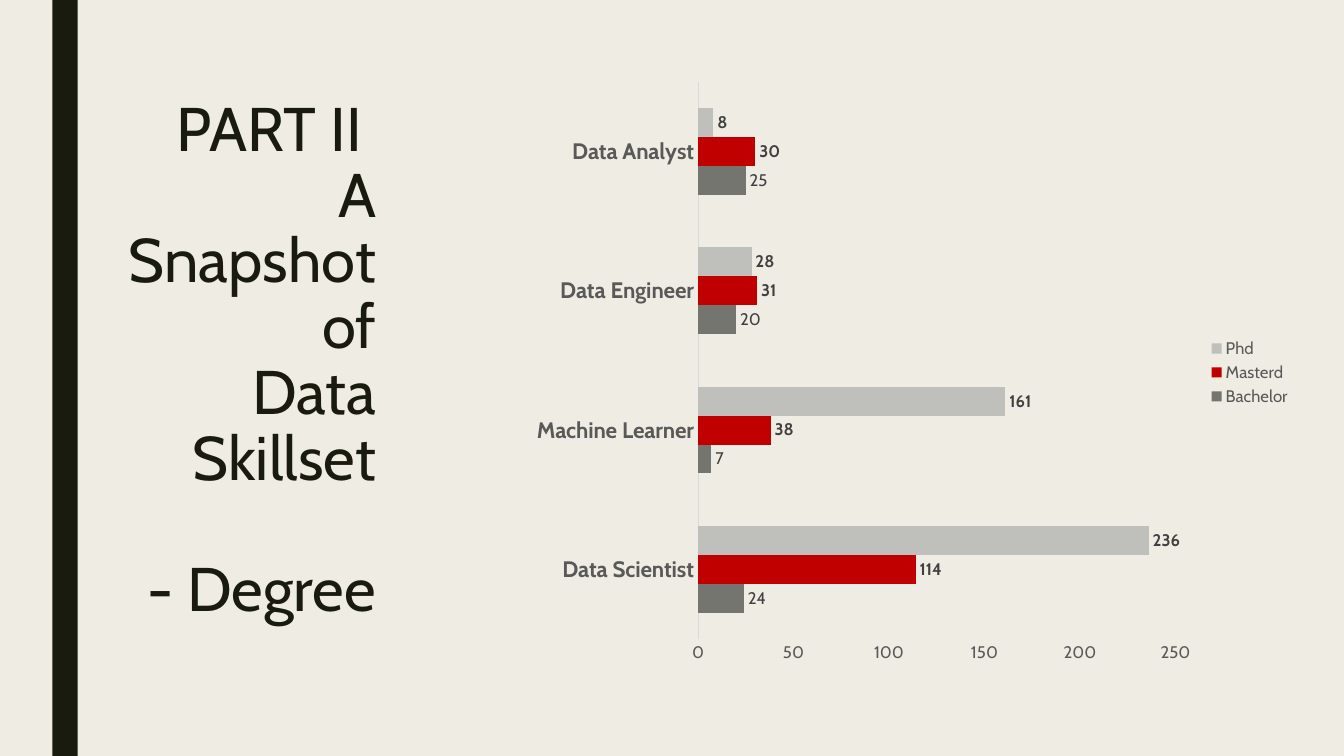
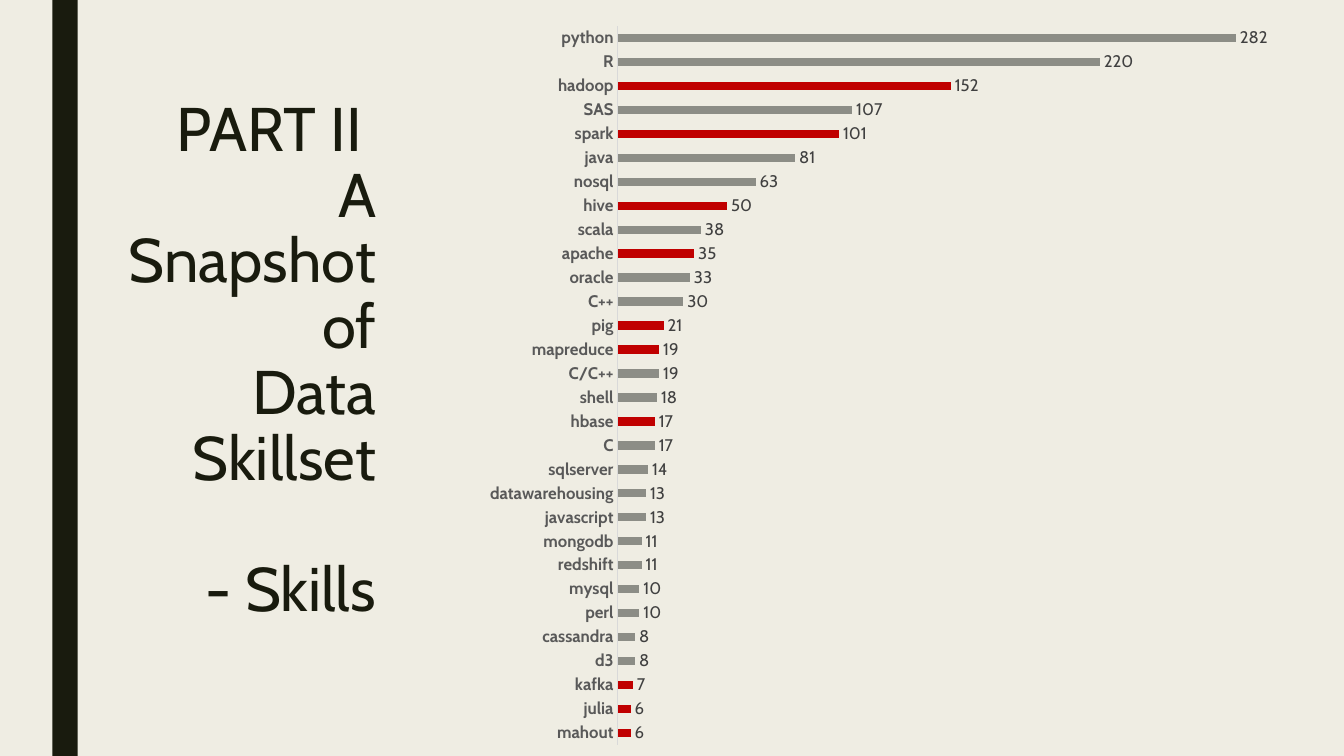
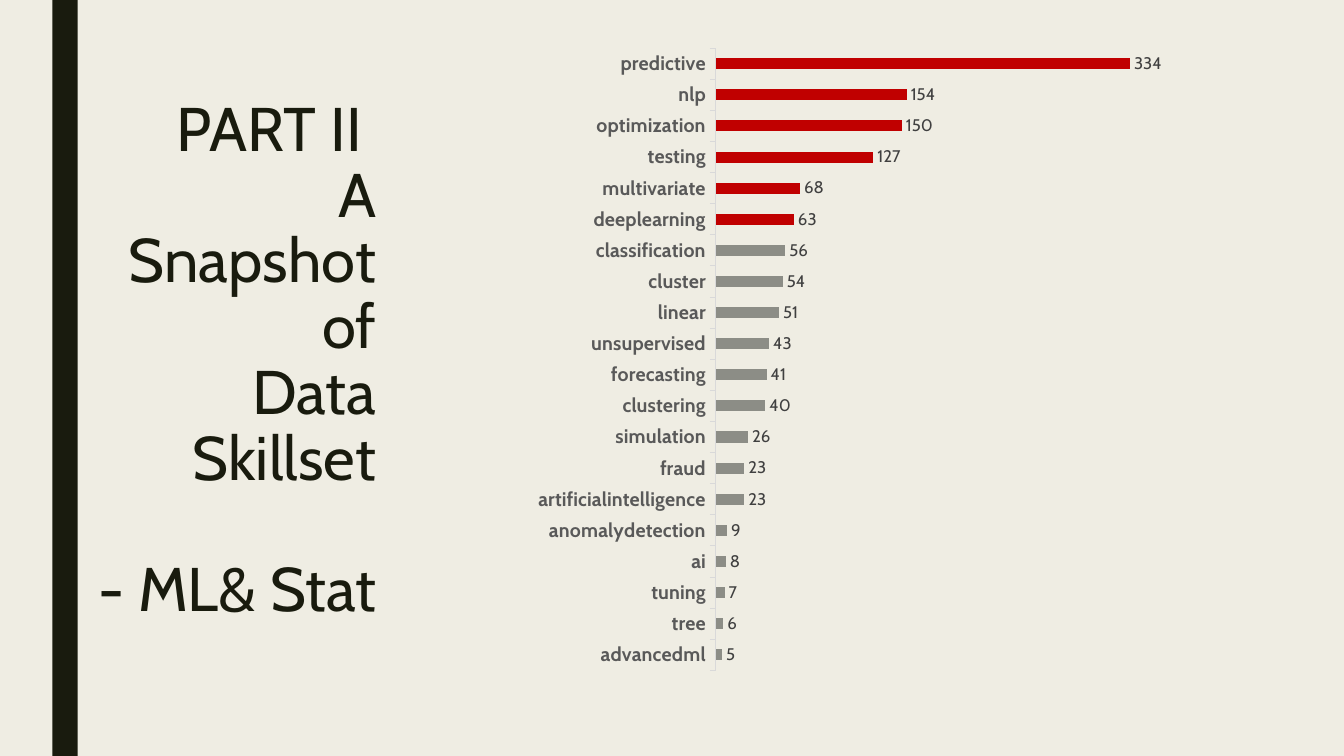
"""Build three slides on data skillsets, each with a title column and a bar chart."""
from lxml import etree
from pptx import Presentation
from pptx.chart.data import CategoryChartData
from pptx.dml.color import RGBColor
from pptx.enum.chart import XL_CHART_TYPE, XL_LABEL_POSITION, XL_LEGEND_POSITION, XL_TICK_MARK
from pptx.enum.shapes import MSO_SHAPE
from pptx.enum.text import MSO_ANCHOR, MSO_AUTO_SIZE, PP_ALIGN
from pptx.oxml.ns import qn
from pptx.util import Inches, Pt

BAR_CLUSTERED = XL_CHART_TYPE.BAR_CLUSTERED
OUTSIDE_END = XL_LABEL_POSITION.OUTSIDE_END
LEGEND_RIGHT = XL_LEGEND_POSITION.RIGHT
TICK_NONE, TICK_OUT = XL_TICK_MARK.NONE, XL_TICK_MARK.OUTSIDE
RECTANGLE = MSO_SHAPE.RECTANGLE
TOP = MSO_ANCHOR.TOP
FIXED_SIZE = MSO_AUTO_SIZE.NONE
RIGHT = PP_ALIGN.RIGHT

FONT = "Cabin"
COLORS = {
    "paper": "EFEDE3", "ink": "191B0E", "red": "C00000", "gray": "8C8D86",
    "dark gray": "74756F", "light gray": "BFBFBC",
    "axis text": "595959", "label text": "404040", "axis line": "D9D9D9", "black": "000000",
}
TITLE_LINES = ["PART II ", "A Snapshot", "of", "Data Skillset"]


def color(name):
    return RGBColor.from_string(COLORS[name])


def style_font(font, size, color_name, bold=False):
    font.name = FONT
    font.size = Pt(size)
    font.bold = bold
    font.color.rgb = color(color_name)


slides = [
    {
        "topic": "- Degree",
        "box": (5.17, 0.69, 7.74, 6.01),
        "categories": ["Data Scientist", "Machine Learner", "Data Engineer", "Data Analyst"],
        "series": [
            ("Bachelor", [24, 7, 20, 25], "dark gray", False),
            ("Masterd", [114, 38, 31, 30], "red", True),
            ("Phd", [236, 161, 28, 8], "light gray", True),
        ],
        "highlights": [],
        "size": 16, "tick": TICK_NONE, "maximum": 250, "legend": True, "plot": None,
    },
    {
        "topic": "- Skills",
        "box": (4.86, 0.07, 7.92, 7.43),
        "categories": [
            "mahout", "julia", "kafka", "d3", "cassandra", "perl", "mysql", "redshift",
            "mongodb", "javascript", "datawarehousing", "sqlserver", "C", "hbase", "shell",
            "C/C++", "mapreduce", "pig", "C++", "oracle", "apache", "scala", "hive", "nosql",
            "java", "spark", "SAS", "hadoop", "R", "python",
        ],
        "series": [
            ("Series 1", [6, 6, 7, 8, 8, 10, 10, 11, 11, 13, 13, 14, 17, 17, 18, 19, 19, 21, 30,
                          33, 35, 38, 50, 63, 81, 101, 107, 152, 220, 282], "gray", False),
        ],
        "highlights": ["mahout", "julia", "kafka", "hbase", "mapreduce", "pig", "apache",
                       "hive", "spark", "hadoop"],
        "size": 12, "tick": TICK_NONE, "maximum": 300, "legend": False,
        "plot": (1.25, 0.19, 6.54, 7.13),
    },
    {
        "topic": "- ML& Stat",
        "box": (5.2, 0.35, 6.96, 6.43),
        "categories": [
            "advancedml", "tree", "tuning", "ai", "anomalydetection", "artificialintelligence",
            "fraud", "simulation", "clustering", "forecasting", "unsupervised", "linear",
            "cluster", "classification", "deeplearning", "multivariate", "testing",
            "optimization", "nlp", "predictive",
        ],
        "series": [
            ("Series 1", [5, 6, 7, 8, 9, 23, 23, 26, 40, 41, 43, 51, 54, 56, 63, 68, 127, 150,
                          154, 334], "gray", False),
        ],
        "highlights": ["deeplearning", "multivariate", "testing", "optimization", "nlp",
                       "predictive"],
        "size": 14, "tick": TICK_OUT, "maximum": 400, "legend": False, "plot": None,
    },
]

deck = Presentation()
deck.slide_width, deck.slide_height = Inches(13.33), Inches(7.5)
background = deck.slide_master.background.fill
background.solid()
background.fore_color.rgb = color("paper")
title_only = deck.slide_layouts[5]

for content in slides:
    page = deck.slides.add_slide(title_only)

    band = page.shapes.add_shape(RECTANGLE, Inches(0.52), 0, Inches(0.25), deck.slide_height)
    band.shadow.inherit = False
    band.fill.solid()
    band.fill.fore_color.rgb = color("ink")
    band.line.fill.background()

    title = page.shapes.title
    title.left, title.top = Inches(0.8), Inches(0.93)
    title.width, title.height = Inches(3.03), Inches(5.56)
    frame = title.text_frame
    frame.word_wrap = True
    frame.auto_size = FIXED_SIZE
    frame.vertical_anchor = TOP
    for index, line in enumerate(TITLE_LINES + [content["topic"]]):
        para = frame.paragraphs[0] if index == 0 else frame.add_paragraph()
        para.alignment = RIGHT
        para.line_spacing = 0.89
        para.space_before = Pt(47 if line == content["topic"] else 0)
        span = para.add_run()
        span.text = line
        style_font(span.font, 44, "ink")

    chart_data = CategoryChartData()
    chart_data.categories = content["categories"]
    for name, values, _, _ in content["series"]:
        chart_data.add_series(name, values)
    box = [Inches(length) for length in content["box"]]
    chart = page.shapes.add_chart(BAR_CLUSTERED, *box, chart_data).chart
    chart.has_title = False
    style_font(chart.font, 10, "black")

    chart.has_legend = content["legend"]
    if content["legend"]:
        chart.legend.position = LEGEND_RIGHT
        chart.legend.include_in_layout = False
        style_font(chart.legend.font, 12, "axis text")

    category_axis = chart.category_axis
    category_axis.major_tick_mark = content["tick"]
    category_axis.minor_tick_mark = TICK_NONE
    category_axis.format.line.color.rgb = color("axis line")
    category_axis.format.line.width = Pt(0.75)
    style_font(category_axis.tick_labels.font, content["size"], "axis text", True)

    value_axis = chart.value_axis
    value_axis.has_major_gridlines = False
    value_axis.minimum_scale = 0
    value_axis.maximum_scale = content["maximum"]
    value_axis.major_unit = 50
    value_axis.visible = content["legend"]
    if value_axis.visible:
        value_axis.major_tick_mark = value_axis.minor_tick_mark = TICK_NONE
        value_axis.format.line.fill.background()
        style_font(value_axis.tick_labels.font, 12, "axis text")

    plot = chart.plots[0]
    plot.vary_by_categories = False
    plot.gap_width = 182
    plot.overlap = 0
    for series, (_, _, fill_name, bold) in zip(plot.series, content["series"]):
        series.format.fill.solid()
        series.format.fill.fore_color.rgb = color(fill_name)
        for name in content["highlights"]:
            point = series.points[content["categories"].index(name)]
            point.format.fill.solid()
            point.format.fill.fore_color.rgb = color("red")
        labels = series.data_labels
        labels.show_value = True
        labels.position = OUTSIDE_END
        style_font(labels.font, 12, "label text", bold)

    if content["plot"]:
        plot_area = chart.element.find(".//" + qn("c:plotArea"))
        for old_layout in plot_area.findall(qn("c:layout")):
            plot_area.remove(old_layout)
        layout = etree.Element(qn("c:layout"))
        plot_area.insert(0, layout)
        manual = etree.SubElement(layout, qn("c:manualLayout"))
        left, top, width, height = content["plot"]
        _, _, chart_width, chart_height = content["box"]
        settings = {
            "layoutTarget": "inner", "xMode": "edge", "yMode": "edge",
            "x": left / chart_width, "y": top / chart_height,
            "w": width / chart_width, "h": height / chart_height,
        }
        for tag, value in settings.items():
            etree.SubElement(manual, qn("c:" + tag)).set("val", str(value))

deck.save("out.pptx")
